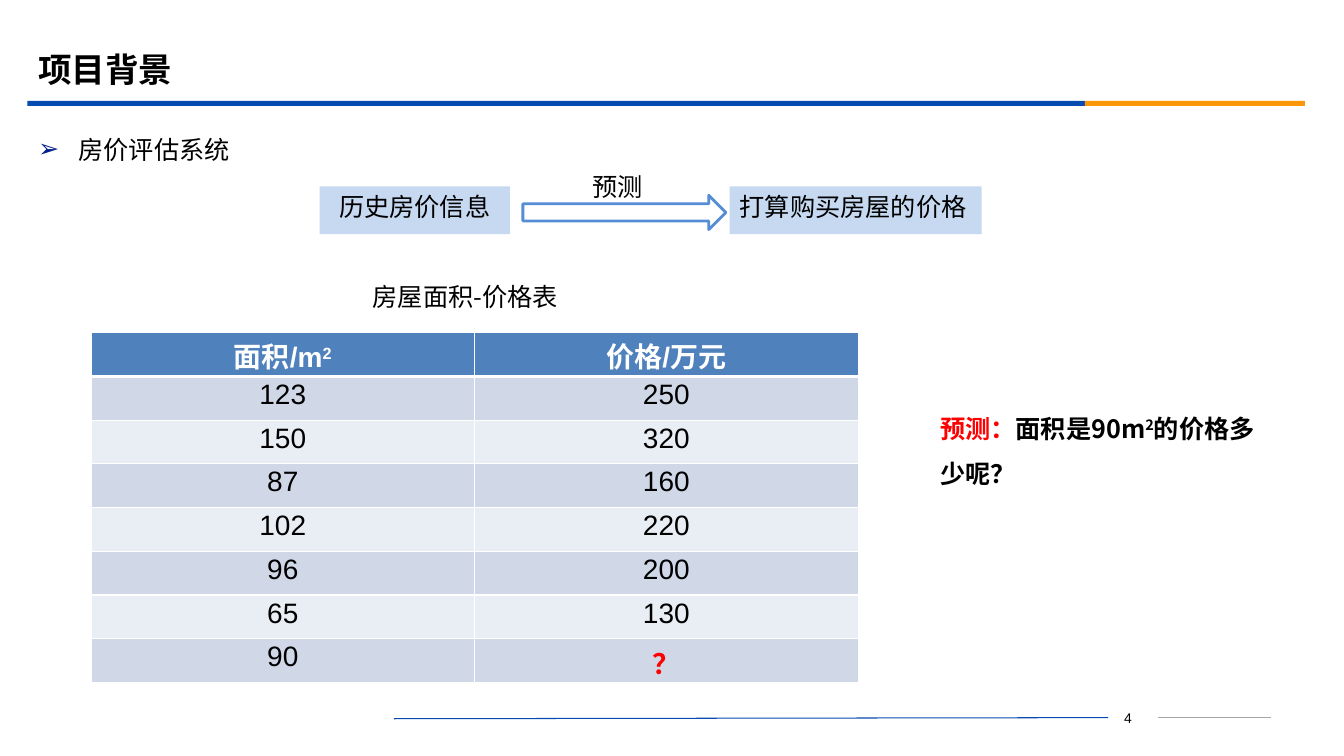
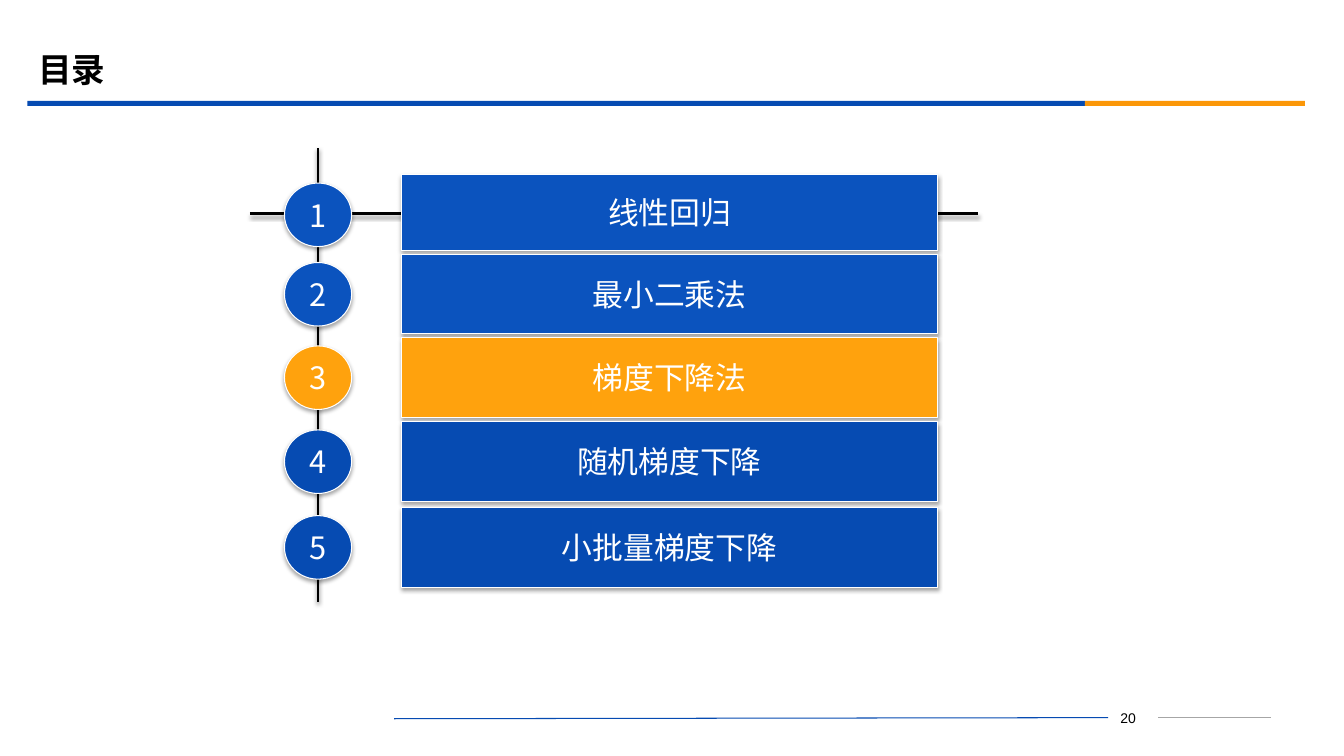
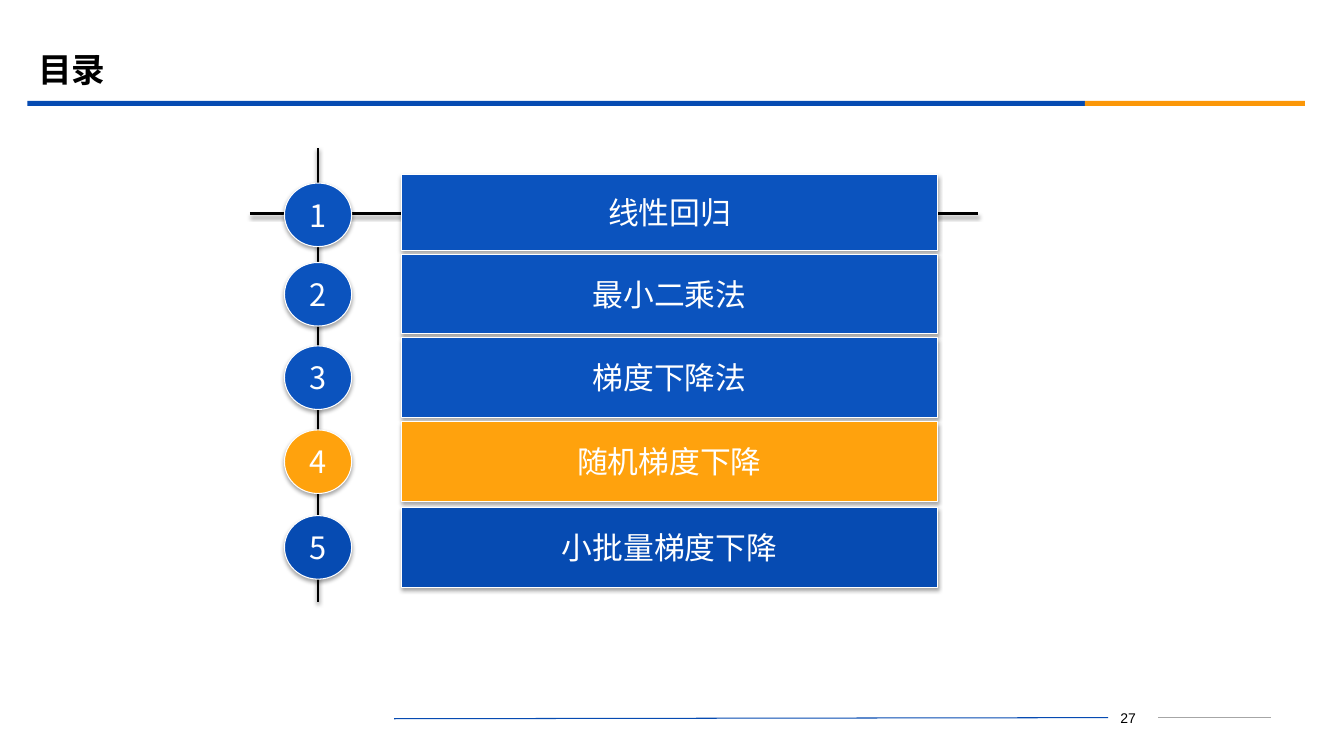
"""Build three slides of a regression course: a house price example and two agendas."""
import lxml.etree
import pptx
import pptx.dml.color
import pptx.enum.shapes
import pptx.enum.text
import pptx.oxml.ns
import pptx.util

Pt = pptx.util.Pt
qn = pptx.oxml.ns.qn
SHAPES = pptx.enum.shapes.MSO_SHAPE
ALIGN = pptx.enum.text.PP_ALIGN
ANCHOR = pptx.enum.text.MSO_ANCHOR

BLACK, WHITE, RED = "000000", "FFFFFF", "FF0000"
DEEP_BLUE, MID_BLUE, ORANGE = "064BB2", "0B53BE", "FFA20D"
PALE_BLUE, ARROW_BLUE, BULLET_BLUE = "C6D9F1", "558ED5", "032089"
RULE_ORANGE, RULE_GREY = "FB9708", "A6A6A6"
HEADER_FILL, BAND_FILLS = "4F81BD", ("D0D8E8", "E9EDF4")
SANS = "Noto Sans CJK SC"

RULES = [((19.5, 72, 755.5, 3.75), DEEP_BLUE), ((775, 72, 157, 3.75), RULE_ORANGE)]
FOOTER_LINES = [((827.5, 512.75, 908, 512.75), RULE_GREY),
                ((281.5, 513.4, 791.5, 512.6), DEEP_BLUE)]

BACKGROUND = {"title": "项目背景", "number": 4, "point": "房价评估系统"}
FLOW_BOXES = [("历史房价信息", (228.25, 133.2, 136, 34), ALIGN.CENTER),
              ("打算购买房屋的价格", (521.25, 133.2, 180, 34), ALIGN.LEFT)]
FLOW_ARROW = (373.5, 139.5, 145, 24.5)
CAPTIONS = [((416, 118.8, 53.5, 29), "Arial", 1, [("预测", {})]),
            ((259.2, 197.3, 209.5, 29), SANS, 1, [("房屋面积-价格表", {})]),
            ((664.5, 280.8, 255, 73), SANS, 1.5,
             [("预测：", {"color": RED, "bold": True}), ("面积是90m", {"bold": True}),
              ("2", {"bold": True, "raised": True}), ("的价格多少呢？", {"bold": True})])]
PRICE_HEADER = [[("面积/m", {}), ("2", {"raised": True})], [("价格/万元", {})]]
PRICES = [("123", "250"), ("150", "320"), ("87", "160"), ("102", "220"),
          ("96", "200"), ("65", "130"), ("90", "？")]
PRICE_AREA = (65, 237.6, 548, 250)

TOPICS = [("线性回归", 124.75, 54, MID_BLUE), ("最小二乘法", 181.5, 57, MID_BLUE),
          ("梯度下降法", 241.1, 57, MID_BLUE), ("随机梯度下降", 301.1, 57, DEEP_BLUE),
          ("小批量梯度下降", 362.3, 57, DEEP_BLUE)]
AGENDAS = [(20, 3), (27, 4)]
AGENDA_AXES = [(227.2, 106, 227.2, 430), (178.5, 152.75, 698.5, 152.75)]


def rgb(value):
    return pptx.dml.color.RGBColor.from_string(value)


def place(part, area):
    part.left, part.top, part.width, part.height = map(Pt, area)


def style(run, size, font="Arial", color=BLACK, bold=False, raised=False):
    run.font.size, run.font.name, run.font.bold = Pt(size), font, bold
    run.font.color.rgb = rgb(color)
    properties = run._r.get_or_add_rPr()
    if raised:
        properties.set("baseline", "30000")
    east_asian = lxml.etree.Element(qn("a:ea"), typeface=SANS)
    properties.find(qn("a:latin")).addnext(east_asian)


def write(frame, text, size, align=ALIGN.LEFT, **look):
    """Fill a frame with one paragraph, given as a string or as (text, look) pieces."""
    paragraph = frame.paragraphs[0]
    paragraph.alignment = align
    for words, own in [(text, {})] if isinstance(text, str) else text:
        run = paragraph.add_run()
        run.text = words
        style(run, size, **{**look, **own})
    return paragraph


def set_effects(part, opacity=0, distance=0):
    """Replace the theme shadow by none, or by a soft one below the part."""
    properties = part.element.spPr
    for old in properties.findall(qn("a:effectLst")):
        properties.remove(old)
    effects = lxml.etree.SubElement(properties, qn("a:effectLst"))
    if opacity:
        shadow = lxml.etree.SubElement(
            effects, qn("a:outerShdw"), blurRad=str(Pt(3.1)), dist=str(Pt(distance)),
            dir="5400000", algn="ctr", rotWithShape="0")
        tint = lxml.etree.SubElement(shadow, qn("a:srgbClr"), val=BLACK)
        lxml.etree.SubElement(tint, qn("a:alpha"), val=str(opacity * 1000))


def add_block(slide, preset, area, fill=None, line=None, width=0.75):
    block = slide.shapes.add_shape(preset, *map(Pt, area))
    block.shadow.inherit = False
    if fill:
        block.fill.solid()
        block.fill.fore_color.rgb = rgb(fill)
    else:
        block.fill.background()
    if line:
        block.line.color.rgb = rgb(line)
        block.line.width = Pt(width)
    else:
        block.line.fill.background()
    return block


def add_line(slide, ends, color, width):
    line = slide.shapes.add_connector(pptx.enum.shapes.MSO_CONNECTOR.STRAIGHT, *map(Pt, ends))
    line.line.color.rgb = rgb(color)
    line.line.width = Pt(width)
    set_effects(line)
    return line


def add_text(slide, area, text, size, spacing=1, **look):
    box = slide.shapes.add_textbox(*map(Pt, area))
    box.text_frame.word_wrap = True
    write(box.text_frame, text, size, **look).line_spacing = spacing


def add_slide(deck, layout, title, number):
    slide = deck.slides.add_slide(deck.slide_layouts[layout])
    write(slide.shapes.title.text_frame, title, 24, font="Montserrat", bold=True)
    add_text(slide, (783.5, 503.3, 44.5, 18), str(number), 10, align=ALIGN.CENTER)
    return slide


def furnish_master(deck, slide):
    """Draw the shared rules on a slide and hand them over to the master."""
    tree = deck.slide_master.shapes.element
    shared = [add_block(slide, SHAPES.RECTANGLE, area, fill) for area, fill in RULES]
    shared += [add_line(slide, ends, color, 0.75) for ends, color in FOOTER_LINES]
    for part in shared:
        tree.append(part.element)
    for number, identity in enumerate(tree.iter(qn("p:cNvPr")), 1):
        identity.set("id", str(number))


def add_bullet(paragraph):
    properties = paragraph._p.get_or_add_pPr()
    properties.set("marL", str(Pt(28.8)))
    properties.set("indent", str(-Pt(28.8)))
    tint = lxml.etree.SubElement(properties, qn("a:buClr"))
    lxml.etree.SubElement(tint, qn("a:srgbClr"), val=BULLET_BLUE)
    lxml.etree.SubElement(properties, qn("a:buFont"), typeface="Arial")
    lxml.etree.SubElement(properties, qn("a:buChar"), char="➢")


def finish_cell(cell, fill, top, bottom):
    cell.margin_top, cell.margin_bottom = Pt(2), 0
    cell.fill.solid()
    cell.fill.fore_color.rgb = rgb(fill)
    properties = cell._tc.get_or_add_tcPr()
    for place_in_order, (side, width) in enumerate(
            [("lnL", 1), ("lnR", 1), ("lnT", top), ("lnB", bottom)]):
        border = lxml.etree.Element(qn("a:" + side), w=str(Pt(width)))
        paint = lxml.etree.SubElement(border, qn("a:solidFill"))
        lxml.etree.SubElement(paint, qn("a:srgbClr"), val=WHITE)
        properties.insert(place_in_order, border)


def add_prices(slide):
    rows = [PRICE_HEADER] + PRICES
    prices = slide.shapes.add_table(len(rows), 2, *map(Pt, PRICE_AREA)).table
    prices.horz_banding = False
    for index, row in enumerate(rows):
        prices.rows[index].height = Pt(PRICE_AREA[3] / len(rows))
        fill = BAND_FILLS[(index - 1) % 2] if index else HEADER_FILL
        for cell, text in zip(prices.rows[index].cells, row):
            color = RED if text == "？" else BLACK if index else WHITE
            write(cell.text_frame, text, 20, ALIGN.CENTER, color=color, bold=color != BLACK)
            finish_cell(cell, fill, 3 if index == 1 else 1, 1 if index else 3)


def fill_background(slide):
    point = slide.placeholders[1]
    place(point, (20, 81.4, 890, 45.4))
    paragraph = write(point.text_frame, BACKGROUND["point"], 18, font="Times New Roman")
    paragraph.line_spacing, paragraph.space_before = 1.5, Pt(3.6)
    add_bullet(paragraph)
    for text, area, align in FLOW_BOXES:
        box = add_block(slide, SHAPES.RECTANGLE, area, PALE_BLUE)
        box.text_frame.vertical_anchor = ANCHOR.TOP
        write(box.text_frame, text, 18, align)
    add_block(slide, SHAPES.RIGHT_ARROW, FLOW_ARROW, line=ARROW_BLUE, width=2)
    for area, font, spacing, text in CAPTIONS:
        add_text(slide, area, text, 18, spacing, font=font)
    add_prices(slide)


def fill_agenda(slide, current):
    for ends in AGENDA_AXES:
        set_effects(add_line(slide, ends, BLACK, 2), 38, 1.6)
    for number, (topic, top, height, fill) in enumerate(TOPICS, 1):
        fill = ORANGE if number == current else fill
        for preset, area, text in [
                (SHAPES.ACTION_BUTTON_CUSTOM, (287, top, 382.5, height), topic),
                (SHAPES.OVAL, (203.2, top + 6, 48, 45.4), str(number))]:
            block = add_block(slide, preset, area, fill, WHITE)
            set_effects(block, 35, 1.8)
            block.text_frame.word_wrap = False
            block.text_frame.vertical_anchor = ANCHOR.MIDDLE
            write(block.text_frame, text, 22, ALIGN.CENTER, font=SANS, color=WHITE)


def main():
    deck = pptx.Presentation()
    deck.slide_width, deck.slide_height = Pt(960), Pt(540)
    master_title = deck.slide_master.placeholders[0]
    place(master_title, (20, 28, 864, 42))
    master_title.text_frame.vertical_anchor = ANCHOR.MIDDLE
    background = add_slide(deck, 1, BACKGROUND["title"], BACKGROUND["number"])
    furnish_master(deck, background)
    fill_background(background)
    for number, current in AGENDAS:
        fill_agenda(add_slide(deck, 5, "目录", number), current)
    deck.save("out.pptx")


if __name__ == "__main__":
    main()
